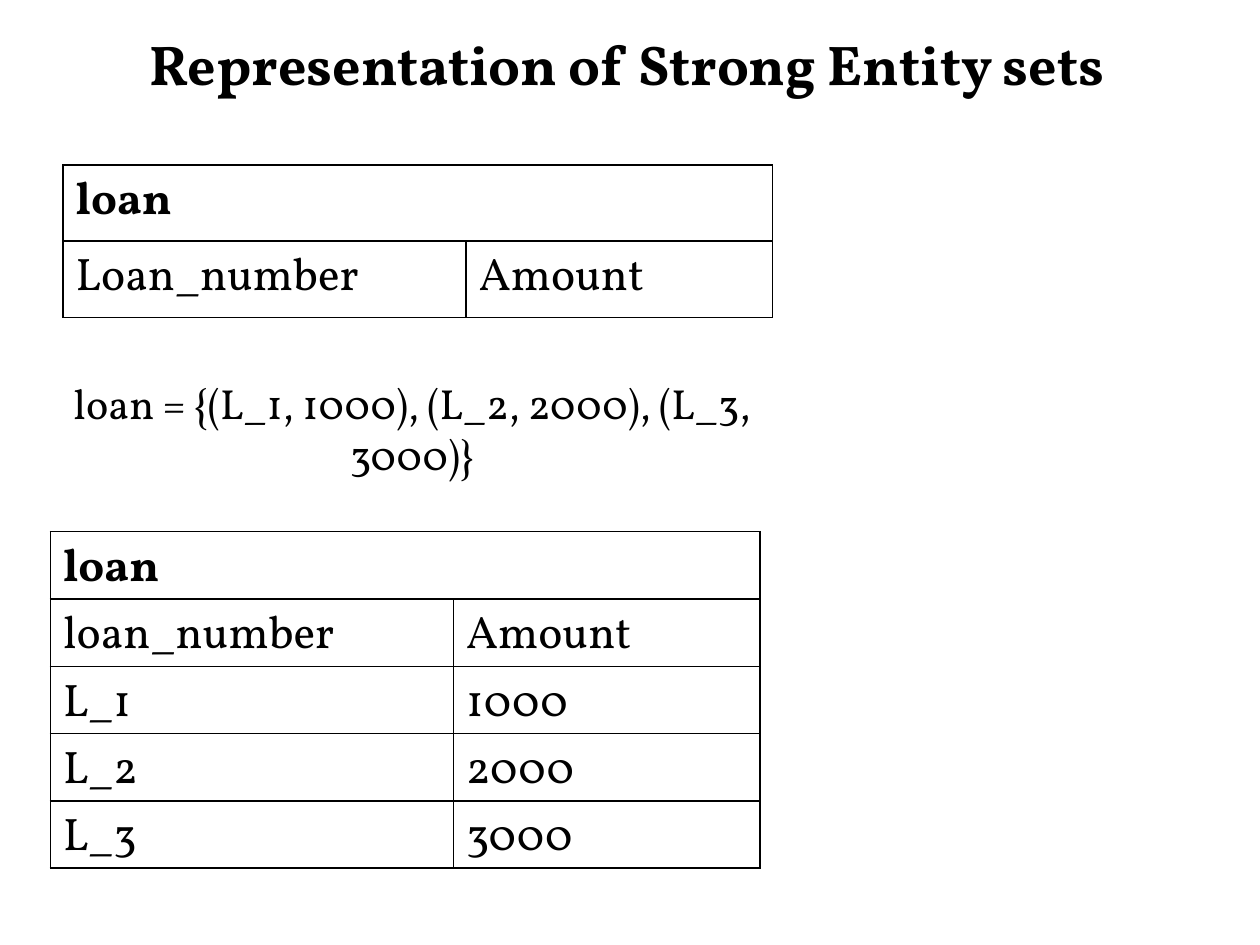
from lxml.etree import SubElement
from pptx import Presentation
from pptx.dml.color import RGBColor
from pptx.enum.text import MSO_ANCHOR, PP_ALIGN
from pptx.oxml.ns import qn
from pptx.util import Inches, Pt

BLACK = RGBColor(0, 0, 0)
WHITE = RGBColor(255, 255, 255)
FONT = "Vollkorn"
UNIT = Inches(0.1)  # the slide is a grid of 100 columns by 75 rows
COLS, ROWS = 100, 75


def grid(*cells):
    return [round(cell * UNIT) for cell in cells]


class Page:
    def __init__(self, deck):
        self.slide = deck.slides.add_slide(deck.slide_layouts[6])

    def style(self, frame, size, bold, align):
        for para in frame.paragraphs:
            para.alignment = align
            for run in para.runs:
                font = run.font
                font.name, font.size, font.bold = FONT, Pt(size), bold
                font.color.rgb = BLACK

    def text(self, words, box, size, bold=False, anchor=MSO_ANCHOR.TOP):
        frame = self.slide.shapes.add_textbox(*grid(*box)).text_frame
        frame.word_wrap = True
        frame.vertical_anchor = anchor
        frame.text = words
        self.style(frame, size, bold, PP_ALIGN.CENTER)

    def border(self, cell):
        """Put a thin black line on all four sides, ahead of the fill."""
        props = cell._tc.get_or_add_tcPr()
        for index, side in enumerate(("lnL", "lnR", "lnT", "lnB")):
            line = SubElement(props, qn(f"a:{side}"), w=str(Pt(1)))
            fill = SubElement(line, qn("a:solidFill"))
            SubElement(fill, qn("a:srgbClr"), val=str(BLACK))
            props.insert(index, line)

    def table(self, left, top, widths, height, rows):
        """Draw a relation: its name across the first row, then its rows."""
        box = grid(left, top, sum(widths), height * len(rows))
        table = self.slide.shapes.add_table(len(rows), len(widths), *box).table
        for column, width in zip(table.columns, grid(*widths)):
            column.width = width
        for r, row in enumerate(rows):
            table.rows[r].height = grid(height)[0]
            for c, words in enumerate(row):
                cell = table.cell(r, c)
                cell.text = words
                cell.fill.solid()
                cell.fill.fore_color.rgb = WHITE
                self.border(cell)
                self.style(cell.text_frame, 26, r == 0, PP_ALIGN.LEFT)
        table.cell(0, 0).merge(table.cell(0, len(widths) - 1))


def main():
    deck = Presentation()
    deck.slide_width, deck.slide_height = grid(COLS, ROWS)
    page = Page(deck)
    widths = (32, 24.3)
    name = ("loan", "")
    loans = [("L_1", "1000"), ("L_2", "2000"), ("L_3", "3000")]
    tuples = ", ".join(f"({key}, {sum_})" for key, sum_ in loans)

    page.text("Representation of Strong Entity sets", (4.8, 0, 90, 10), 32,
              bold=True, anchor=MSO_ANCHOR.MIDDLE)
    page.table(5, 13.1, widths, 6.05, [name, ("Loan_number", "Amount")])
    page.text(f"loan = {{{tuples}}}", (4.8, 29.5, 55.8, 9.3), 24)
    page.table(4, 42.2, widths, 5.34, [name, ("loan_number", "Amount"), *loans])
    deck.save("out.pptx")


if __name__ == "__main__":
    main()
